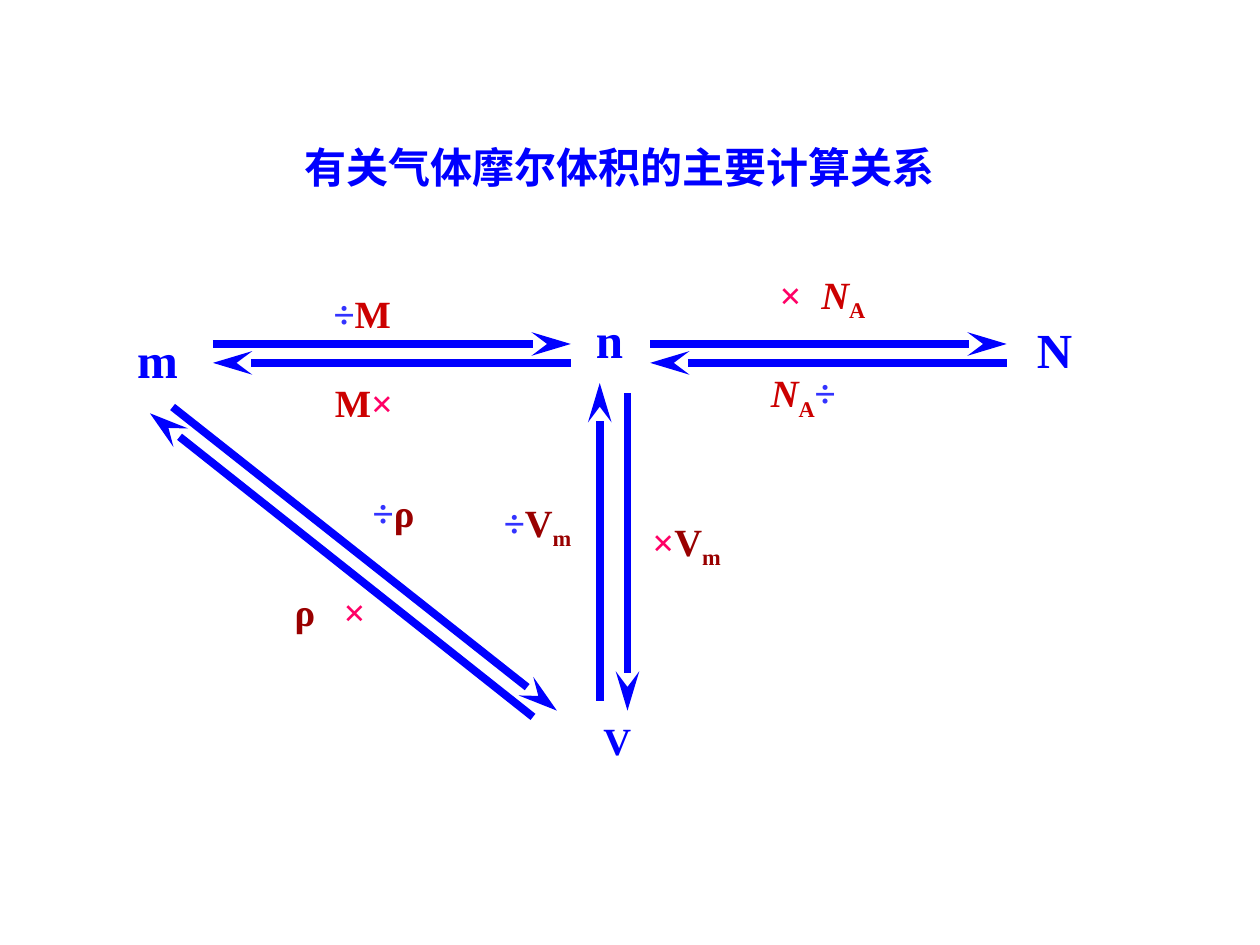
from lxml.etree import SubElement
from pptx import Presentation
from pptx.dml.color import RGBColor
from pptx.enum.shapes import MSO_CONNECTOR
from pptx.enum.text import MSO_ANCHOR, MSO_AUTO_SIZE, PP_ALIGN
from pptx.oxml.ns import qn
from pptx.util import Pt

PX = 9144
BLUE, SIGN_BLUE, PINK, RED, DARK_RED = "0000FF", "3333FF", "FF0066", "CC0000", "990000"
DIVIDE, TIMES, MOLAR_MASS = ("÷", SIGN_BLUE), ("×", PINK), ("M", RED)
AVOGADRO = [("N", RED, "italic"), ("A", RED, "subscript")]
MOLAR_VOLUME = [("V", DARK_RED), ("m", DARK_RED, "subscript")]
DENSITY = ("ρ", DARK_RED)


def color(hex_string):
    return RGBColor.from_string(hex_string)


def write_text(shape, runs, size, wrap):
    frame = shape.text_frame
    frame.word_wrap = wrap
    frame.auto_size = MSO_AUTO_SIZE.SHAPE_TO_FIT_TEXT
    frame.vertical_anchor = MSO_ANCHOR.TOP
    paragraph = frame.paragraphs[0]
    paragraph.alignment = PP_ALIGN.LEFT
    paragraph.font.name = "Times New Roman"
    paragraph.font.size = Pt(size)
    paragraph.font.bold = True
    for text, run_color, *style in runs:
        run = paragraph.add_run()
        run.text = text
        run.font.color.rgb = color(run_color)
        if "italic" in style:
            run.font.italic = True
        if "subscript" in style:
            run._r.get_or_add_rPr().set("baseline", "-25000")


presentation = Presentation()
presentation.slide_width = 1000 * PX
presentation.slide_height = 750 * PX
slide = presentation.slides.add_slide(presentation.slide_layouts[5])

title = slide.shapes.title
title.left, title.top, title.width, title.height = 232 * PX, 107 * PX, 535 * PX, 50 * PX
write_text(title, [("有关气体摩尔体积的主要计算关系", BLUE)], 24, True)

arrows = [
    (169, 273, 453, 273),
    (453, 288, 169, 288),
    (516, 273, 799, 273),
    (799, 288, 516, 288),
    (476, 556, 476, 304),
    (498, 312, 498, 564),
    (423, 569, 119, 328),
    (137, 323, 442, 564),
]
for ends in arrows:
    arrow = slide.shapes.add_connector(MSO_CONNECTOR.STRAIGHT, *(end * PX for end in ends))
    arrow.line.color.rgb = color(BLUE)
    arrow.line.width = Pt(4.5)
    SubElement(arrow.line._get_or_add_ln(), qn("a:tailEnd"), type="stealth", len="lg")
    SubElement(arrow._element.spPr, qn("a:effectLst"))

labels = [
    (99, 257, 52, 57, 28, False, [("m", BLUE)]),
    (463, 241, 41, 57, 28, False, [("n", BLUE)]),
    (813, 249, 48, 57, 28, False, [("N", BLUE)]),
    (469, 564, 42, 47, 22, False, [("V", BLUE)]),
    (255, 225, 90, 47, 22, True, [DIVIDE, MOLAR_MASS]),
    (256, 296, 162, 47, 22, True, [MOLAR_MASS, TIMES]),
    (609, 210, 37, 47, 22, False, [TIMES]),
    (642, 210, 87, 52, 22, True, AVOGADRO),
    (602, 288, 136, 52, 22, True, [*AVOGADRO, DIVIDE]),
    (390, 391, 115, 52, 22, True, [DIVIDE, *MOLAR_VOLUME]),
    (508, 406, 150, 52, 22, True, [TIMES, *MOLAR_VOLUME]),
    (286, 383, 75, 47, 22, True, [DIVIDE, DENSITY]),
    (224, 462, 65, 47, 22, True, [DENSITY]),
    (263, 462, 37, 47, 22, False, [TIMES]),
]
for left, top, width, height, size, wrap, runs in labels:
    label = slide.shapes.add_textbox(left * PX, top * PX, width * PX, height * PX)
    write_text(label, runs, size, wrap)

presentation.save("out.pptx")
